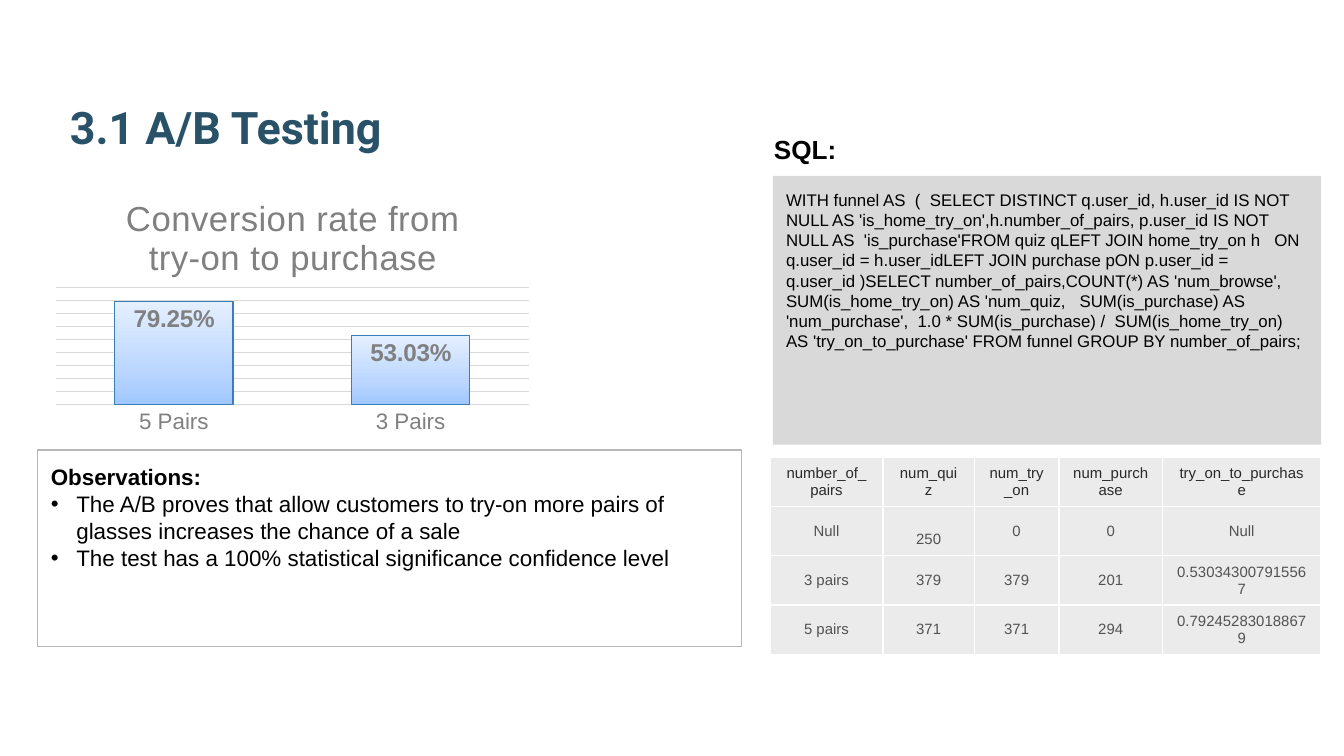
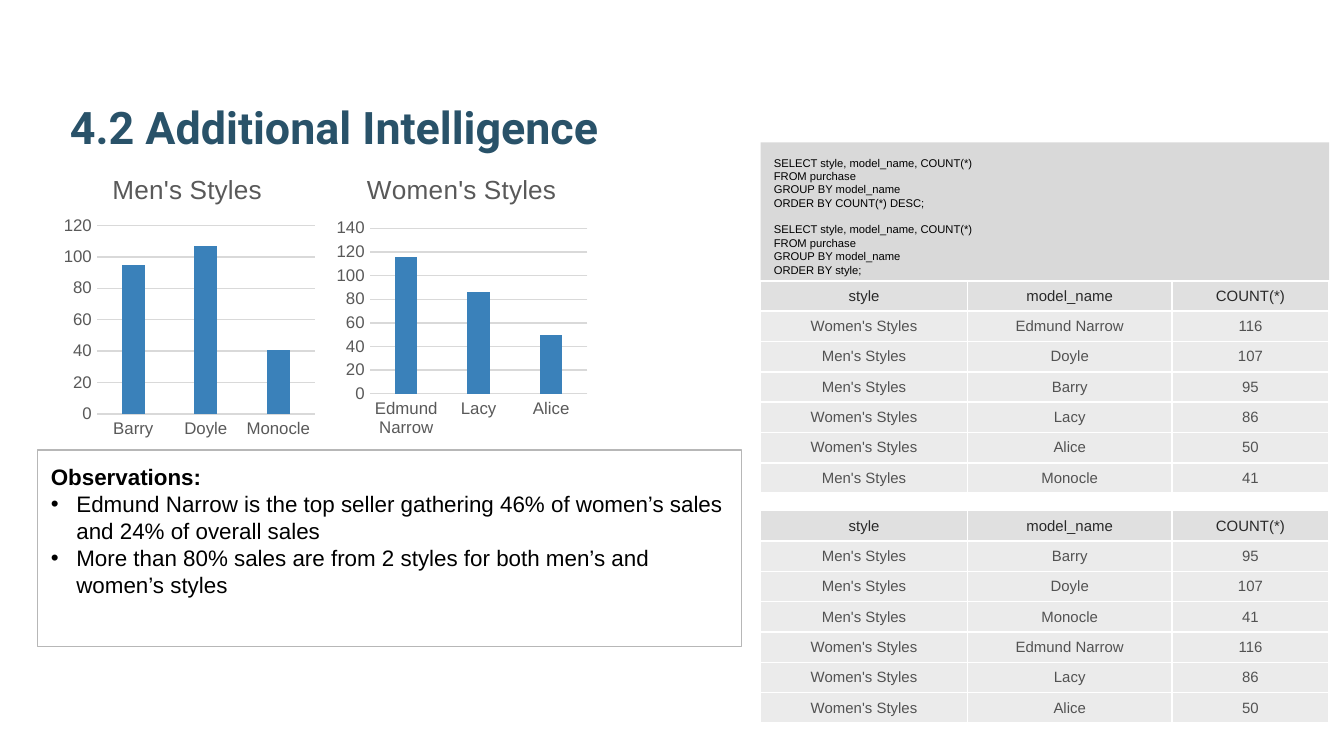
from pptx import Presentation, util as u
from pptx.chart.data import CategoryChartData
from pptx.dml.color import RGBColor
from pptx.enum import chart as ch, shapes, text as tx
from pptx.oxml import parse_xml
from pptx.oxml.ns import nsdecls, qn

# Colours
NAVY = RGBColor(0x29, 0x52, 0x69)
BLACK = RGBColor(0, 0, 0)
INK = RGBColor(0x29, 0x29, 0x29)
SLATE = RGBColor(0x52, 0x52, 0x52)
DARK = RGBColor(0x59, 0x59, 0x59)
GRAY = RGBColor(0x80, 0x80, 0x80)
EDGE = RGBColor(0xB7, 0xB7, 0xB7)
PALE = RGBColor(0xD9, 0xD9, 0xD9)
HEAD = RGBColor(0xE0, 0xE0, 0xE0)
CELL = RGBColor(0xEB, 0xEB, 0xEB)
WHITE = RGBColor(0xFF, 0xFF, 0xFF)
BLUE = RGBColor(0x3A, 0x81, 0xBA)
RIM = RGBColor(0x39, 0x7E, 0xB6)
FADE = [(0, "A0C8FF"), (35, "BCD7FF"), (100, "E5F0FF")]

# Content: A/B testing
AB_SQL = [
    "WITH funnel AS  (  SELECT DISTINCT q.user_id, h.user_id IS NOT NULL AS "
    "'is_home_try_on',h.number_of_pairs, p.user_id IS NOT NULL AS  "
    "'is_purchase'FROM quiz qLEFT JOIN home_try_on h   ON q.user_id = "
    "h.user_idLEFT JOIN purchase pON p.user_id = q.user_id )SELECT "
    "number_of_pairs,COUNT(*) AS 'num_browse',    SUM(is_home_try_on) AS "
    "'num_quiz,   SUM(is_purchase) AS 'num_purchase',  1.0 * "
    "SUM(is_purchase) /  SUM(is_home_try_on) AS 'try_on_to_purchase' "
    "FROM funnel GROUP BY number_of_pairs;"]
AB_ROWS = [
    ("number_of_pairs", "num_quiz", "num_try_on", "num_purchase",
     "try_on_to_purchase"),
    ("Null", "250", "0", "0", "Null"),
    ("3 pairs", "379", "379", "201", "0.530343007915567"),
    ("5 pairs", "371", "371", "294", "0.792452830188679")]
AB_COLS = [0.84, 0.68, 0.63, 0.77, 1.18]
AB_NOTES = [
    "The A/B proves that allow customers to try-on more pairs of glasses "
    "increases the chance of a sale",
    "The test has a 100% statistical significance confidence level"]
RATES = {"5 Pairs": 0.7925, "3 Pairs": 0.5303}

# Content: sales by style
QUERY = ["SELECT style, model_name, COUNT(*)", "FROM purchase",
         "GROUP BY model_name"]
SALES_SQL = QUERY + ["ORDER BY COUNT(*) DESC;"] + QUERY + ["ORDER BY style;"]
FIELDS = ("style", "model_name", "COUNT(*)")
SALES_COLS = [1.54, 1.52, 1.17]
STYLES = {"Men's Styles": {"Barry": 95, "Doyle": 107, "Monocle": 41},
          "Women's Styles": {"Edmund Narrow": 116, "Lacy": 86, "Alice": 50}}
# Chart left, axis top, title left and inner plot area of each style
PLOTS = [(0.43, 120, 0.19, (0.15, 0.24, 0.83, 0.65)),
         (2.46, 140, 0.12, (0.15, 0.25, 0.83, 0.57))]
SALES_NOTES = [
    "Edmund Narrow is the top seller gathering 46% of women’s sales and 24% "
    "of overall sales",
    "More than 80% sales are from 2 styles for both men’s and women’s styles"]


def inch(*vals):
    return [u.Inches(v) for v in vals]


def style(font, size, color, bold=False, name="Arial"):
    font.size, font.bold, font.name = u.Pt(size), bold, name
    font.color.rgb = color


def inset(frame):
    frame.word_wrap = True
    frame.margin_left = frame.margin_right = u.Inches(0.1)
    frame.margin_top = frame.margin_bottom = u.Inches(0.1)


def start(prs, title):
    slide = prs.slides.add_slide(prs.slide_layouts[5])
    box = slide.shapes.title
    box.left, box.top, box.width, box.height = inch(0.34, 0.32, 9.32, 0.92)
    frame = box.text_frame
    inset(frame)
    frame.auto_size = tx.MSO_AUTO_SIZE.NONE
    frame.vertical_anchor = tx.MSO_ANCHOR.BOTTOM
    frame.text = title
    para = frame.paragraphs[0]
    para.alignment, para.line_spacing = tx.PP_ALIGN.LEFT, 1.15
    para._p.get_or_add_pPr().set("marL", str(u.Inches(0.08)))
    style(para.font, 24, NAVY, True, "Roboto")
    return slide


def panel(slide, at, lines, fill=None, line=None):
    box = slide.shapes.add_shape(shapes.MSO_SHAPE.RECTANGLE, *inch(*at))
    box.shadow.inherit = False
    if fill:
        box.fill.solid()
        box.fill.fore_color.rgb = fill
    else:
        box.fill.background()
    if line:
        box.line.color.rgb, box.line.width = line, u.Pt(0.75)
    else:
        box.line.fill.background()
    frame = box.text_frame
    inset(frame)
    frame.vertical_anchor = tx.MSO_ANCHOR.TOP
    frame.text = "\n".join(lines)
    for para in frame.paragraphs:
        para.alignment = tx.PP_ALIGN.LEFT
    return frame.paragraphs


def code(slide, at, lines, size):
    paras = panel(slide, at, lines, fill=PALE)
    for i, para in enumerate(paras):
        style(para.font, size, BLACK)
        if i and lines[i].startswith("SELECT"):
            para.space_before = u.Pt(7)


def notes(slide, points):
    paras = panel(slide, (0.28, 3.35, 5.24, 1.46),
                  ["Observations:"] + points, line=EDGE)
    for i, para in enumerate(paras):
        if i:
            props = para._p.get_or_add_pPr()
            props.set("marL", str(u.Inches(0.19)))
            props.set("indent", str(-u.Inches(0.19)))
            for xml in (f'<a:buClr {nsdecls("a")}><a:srgbClr val="000000"/>'
                        '</a:buClr>',
                        f'<a:buFont {nsdecls("a")} typeface="Arial"/>',
                        f'<a:buChar {nsdecls("a")} char="•"/>'):
                props.append(parse_xml(xml))
        style(para.font, 12, BLACK, i == 0)


def border(cell):
    props = cell._tc.get_or_add_tcPr()
    for i, side in enumerate("LRTB"):
        props.insert(i, parse_xml(
            f'<a:ln{side} {nsdecls("a")} w="12700"><a:solidFill>'
            f'<a:srgbClr val="{WHITE}"/></a:solidFill></a:ln{side}>'))


def grid(slide, at, cols, rows, head):
    table = slide.shapes.add_table(len(rows), len(cols), *inch(*at)).table
    table.first_row = table.horz_banding = False
    for col, wide in zip(table.columns, cols):
        col.width = u.Inches(wide)
    for r, row in enumerate(rows):
        table.rows[r].height = u.Inches(at[3] / len(rows))
        for c, word in enumerate(row):
            cell = table.cell(r, c)
            cell.text = str(word)
            cell.vertical_anchor = tx.MSO_ANCHOR.MIDDLE
            cell.fill.solid()
            cell.fill.fore_color.rgb = CELL if r else head
            border(cell)
            para = cell.text_frame.paragraphs[0]
            para.alignment = tx.PP_ALIGN.CENTER
            style(para.font, 8, SLATE if r else INK)
    return table


def place(part, index, x, y, w=None, h=None):
    """Set a manual layout on a chart title or plot area."""
    for old in part.findall(qn("c:layout")):
        part.remove(old)
    inner = '<c:layoutTarget val="inner"/>' if w else ""
    modes = "".join(f'<c:{k}Mode val="edge"/>' for k in "xy")
    sizes = "".join(f'<c:{k} val="{v}"/>'
                    for k, v in zip("xywh", (x, y, w, h)) if v)
    part.insert(index, parse_xml(
        f'<c:layout {nsdecls("c")}><c:manualLayout>{inner}{modes}{sizes}'
        '</c:manualLayout></c:layout>'))


def columns(slide, at, title, data, plot, top, step, gap, lap, color,
            sizes, left, form="General"):
    feed = CategoryChartData(number_format=form)
    feed.categories = list(data)
    feed.add_series("Series 1", list(data.values()))
    chart = slide.shapes.add_chart(
        ch.XL_CHART_TYPE.COLUMN_CLUSTERED, *inch(*at), feed).chart
    chart.has_legend = False
    style(chart.font, 10, BLACK)
    # Title
    chart.has_title = True
    frame = chart.chart_title.text_frame
    frame.text = title
    style(frame.paragraphs[0].font, sizes[0], color)
    place(chart.chart_title._element, 1, left, 0.04)
    place(chart._chartSpace.chart.plotArea, 0, *plot)
    # Axes
    cat, val = chart.category_axis, chart.value_axis
    for axis in (cat, val):
        axis.major_tick_mark = axis.minor_tick_mark = ch.XL_TICK_MARK.NONE
        style(axis.tick_labels.font, sizes[1], color)
    val.minimum_scale, val.maximum_scale, val.major_unit = 0, top, step
    val.format.line.fill.background()
    val.has_major_gridlines = True
    for line in (cat.format.line, val.major_gridlines.format.line):
        line.color.rgb, line.width = PALE, u.Pt(0.75)
    # Columns
    bars = chart.plots[0]
    bars.gap_width, bars.overlap, bars.vary_by_categories = gap, lap, False
    bars.series[0].format.fill.solid()
    bars.series[0].format.fill.fore_color.rgb = BLUE
    return chart


def rates(slide):
    chart = columns(slide, (0.34, 1.33, 3.67, 1.93),
                    "Conversion rate from try-on to purchase", RATES,
                    (0.02, 0.42, 0.96, 0.45), 0.9, 0.1, 100, -24, GRAY,
                    (18.6, 12), 0.15, "0.00%")
    run = chart.chart_title.text_frame.paragraphs[0].runs[0]
    run._r.get_or_add_rPr().set("spc", "20")
    chart.value_axis.visible = False
    bars = chart.plots[0]
    # Gradient columns with a rim
    look = bars.series[0].format
    look.line.color.rgb, look.line.width = RIM, u.Pt(0.75)
    props = bars.series[0]._element.get_or_add_spPr()
    props.remove(props.find(qn("a:solidFill")))
    stops = "".join(f'<a:gs pos="{p * 1000}"><a:srgbClr val="{c}"/></a:gs>'
                    for p, c in FADE)
    props.insert(0, parse_xml(
        f'<a:gradFill {nsdecls("a")}><a:gsLst>{stops}</a:gsLst>'
        '<a:lin ang="16200000" scaled="0"/></a:gradFill>'))
    # Value labels
    labels = bars.series[0].data_labels
    labels.show_value = True
    labels.position = ch.XL_LABEL_POSITION.INSIDE_END
    labels.number_format, labels.number_format_is_linked = "0.00%", False
    style(labels.font, 13, GRAY, True)


def testing(prs):
    slide = start(prs, "3.1 A/B Testing")
    code(slide, (5.75, 1.31, 4.08, 2), AB_SQL, 9)
    notes(slide, AB_NOTES)
    rates(slide)
    label = slide.shapes.add_textbox(*inch(5.66, 0.94, 0.67, 0.34)).text_frame
    label.word_wrap = False
    label.auto_size = tx.MSO_AUTO_SIZE.SHAPE_TO_FIT_TEXT
    label.text = "SQL:"
    style(label.paragraphs[0].font, 14, BLACK, True)
    table = grid(slide, (5.73, 3.4, 4.1, 1.47), AB_COLS, AB_ROWS, CELL)
    table.cell(1, 1).margin_top = u.Inches(0.17)


def sales(prs):
    slide = start(prs, "4.2 Additional Intelligence")
    code(slide, (5.66, 1.06, 4.23, 1.03), SALES_SQL, 6)
    rows = [(kind, name, count) for kind, models in STYLES.items()
            for name, count in models.items()]
    ranked = sorted(rows, key=lambda row: -row[2])
    for top, body in ((2.09, ranked), (3.8, rows)):
        grid(slide, (5.66, top, 4.23, 1.58), SALES_COLS, [FIELDS] + body, HEAD)
    for (kind, models), (x, peak, left, plot) in zip(STYLES.items(), PLOTS):
        columns(slide, (x, 1.16, 1.95, 2.16), kind, models, plot, peak, 20,
                219, -27, DARK, (14, 9), left)
    notes(slide, SALES_NOTES)


def main():
    prs = Presentation()
    # Widescreen, 16 to 9
    prs.slide_width = u.Inches(10)
    prs.slide_height = u.Inches(10 * 9 / 16)
    testing(prs)
    sales(prs)
    prs.save("out.pptx")


if __name__ == "__main__":
    main()
